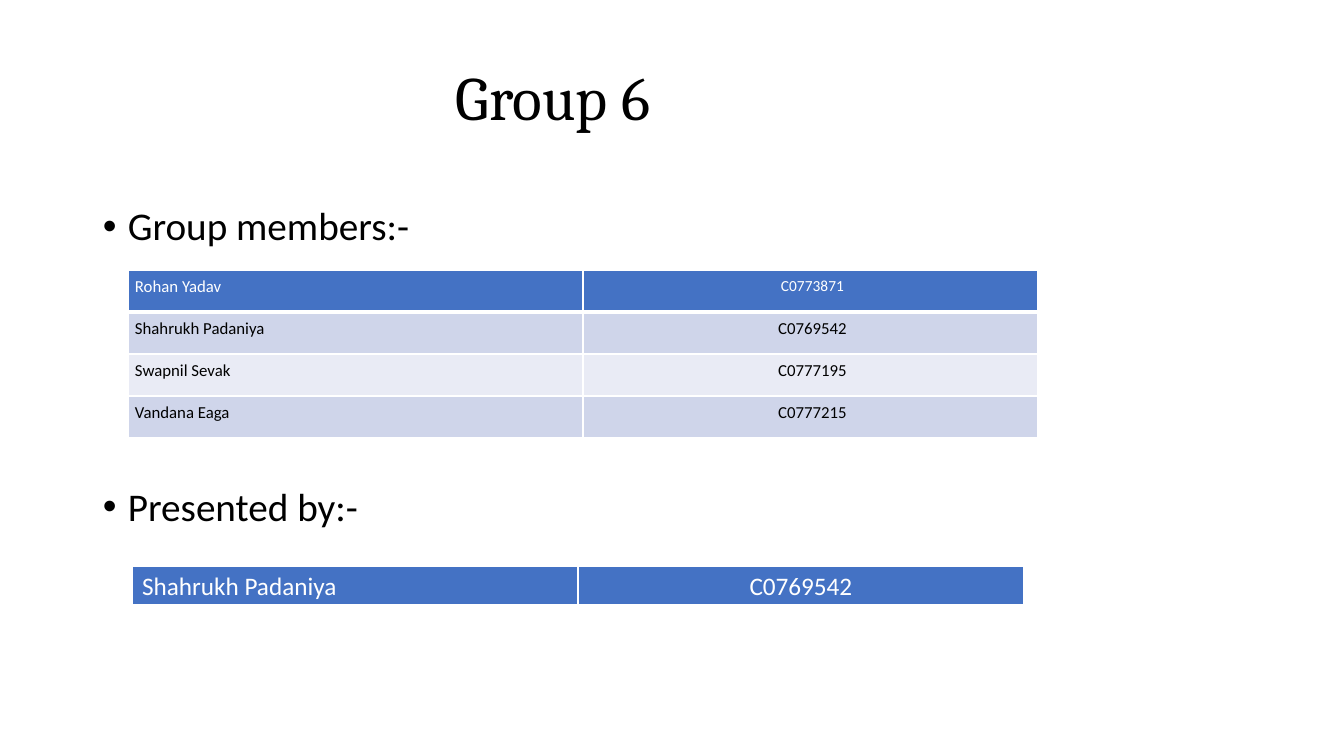
from lxml.etree import SubElement
from pptx import Presentation
from pptx.dml.color import RGBColor
from pptx.enum.text import MSO_ANCHOR, PP_ALIGN
from pptx.oxml.ns import qn
from pptx.util import Pt

# Content
TITLE = "Group 6"
BULLETS = [("Group members:-", 10), ("Presented by:-", 170)]  # text, space before in pt
MEMBERS = [
    ("Rohan Yadav", "C0773871"),
    ("Shahrukh Padaniya", "C0769542"),
    ("Swapnil Sevak", "C0777195"),
    ("Vandana Eaga", "C0777215"),
]
PRESENTERS = [("Shahrukh Padaniya", "C0769542")]

COLORS = {
    "text": "000000",
    "white": "FFFFFF",
    "header": "4472C4",
    "band_dark": "CFD5EA",
    "band_light": "E9EBF5",
}
EMU_PER_PX = 914400 / 100.8


def px(length):
    return round(length * EMU_PER_PX)


def add_span(para, text, size, color, font="Calibri"):
    span = para.add_run()
    span.text = text
    span.font.name = font
    span.font.size = Pt(size)
    span.font.bold = False
    span.font.color.rgb = RGBColor.from_string(COLORS[color])


def add_box(page, left, top, width, height, wrap):
    frame = page.shapes.add_textbox(px(left), px(top), px(width), px(height)).text_frame
    frame.word_wrap = wrap
    return frame


def set_bullet(para):
    properties = para._p.get_or_add_pPr()
    properties.set("marL", str(px(25)))
    properties.set("indent", str(-px(25)))
    SubElement(properties, qn("a:buFont"), typeface="Arial")
    SubElement(properties, qn("a:buChar"), char="•")


def set_borders(cell, bottom):
    # Border lines stand before the fill in the cell properties
    properties = cell._tc.get_or_add_tcPr()
    widths = {"a:lnL": 1, "a:lnR": 1, "a:lnT": 1, "a:lnB": bottom}
    for position, (side, width) in enumerate(widths.items()):
        line = SubElement(properties, qn(side), w=str(Pt(width)))
        fill = SubElement(line, qn("a:solidFill"))
        SubElement(fill, qn("a:srgbClr"), val=COLORS["white"])
        properties.insert(position, line)


def add_people_table(page, people, left, top, column, row_height, sizes, margin=None):
    """sizes holds the header's two text sizes, then the size of all other rows."""
    table = page.shapes.add_table(
        len(people), 2, px(left), px(top), px(2 * column), px(row_height * len(people))
    ).table
    for row_index, person in enumerate(people):
        is_header = row_index == 0
        band = "header" if is_header else ("band_light", "band_dark")[row_index % 2]
        for column_index, text in enumerate(person):
            cell = table.cell(row_index, column_index)
            cell.fill.solid()
            cell.fill.fore_color.rgb = RGBColor.from_string(COLORS[band])
            cell.vertical_anchor = MSO_ANCHOR.TOP
            if margin:
                cell.margin_left = cell.margin_right = px(margin)
                cell.margin_top = cell.margin_bottom = px(margin)
            set_borders(cell, 3 if is_header else 1)
            para = cell.text_frame.paragraphs[0]
            if column_index == 1:
                para.alignment = PP_ALIGN.CENTER
                if margin:
                    para._p.get_or_add_pPr().set("marL", str(px(4)))
            size = sizes[column_index] if is_header else sizes[2]
            add_span(para, text, size, "white" if is_header else "text")


def main():
    deck = Presentation()
    deck.slide_width, deck.slide_height = px(1344), px(756)
    page = deck.slides.add_slide(deck.slide_layouts[6])

    # Bulleted headings
    frame = add_box(page, 93, 202, 1159, 480, True)
    for index, (text, space_before) in enumerate(BULLETS):
        para = frame.add_paragraph() if index else frame.paragraphs[0]
        para.line_spacing = 0.9
        para.space_before = Pt(space_before)
        set_bullet(para)
        add_span(para, text, 28, "text")

    # Tables
    add_people_table(page, MEMBERS, 128, 270, 455, 42, (12, 11, 12), margin=7)
    add_people_table(page, PRESENTERS, 132, 566, 446, 40, (18, 18, 18))

    # Title
    frame = add_box(page, 446, 54, 241, 85, False)
    add_span(frame.paragraphs[0], TITLE, 44, "text", "Cambria")

    deck.save("out.pptx")


if __name__ == "__main__":
    main()
